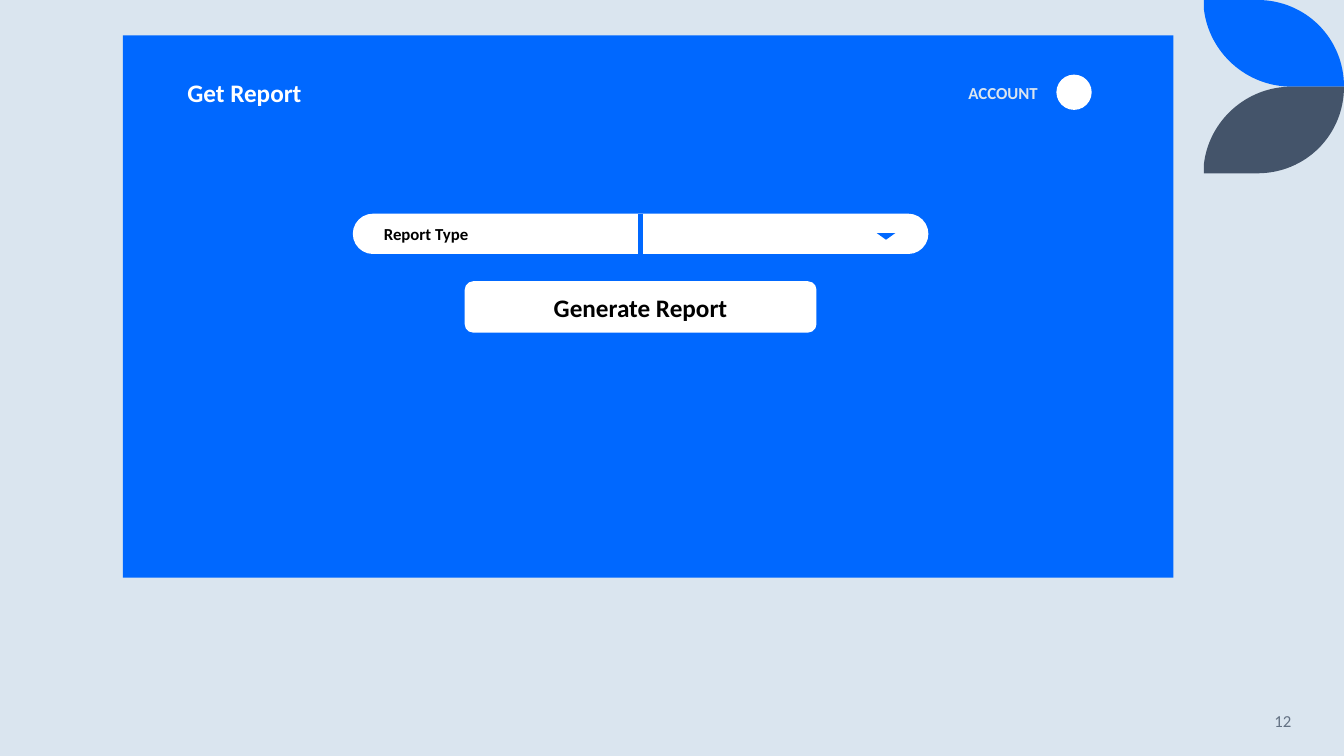
"""Build the Get Report screen slide."""
from dataclasses import dataclass

from lxml import etree
from pptx import Presentation
from pptx.dml.color import RGBColor
from pptx.enum.shapes import MSO_CONNECTOR, MSO_SHAPE
from pptx.enum.text import MSO_ANCHOR, PP_ALIGN
from pptx.oxml.ns import qn
from pptx.util import Inches, Pt

RECTANGLE = MSO_SHAPE.RECTANGLE
ELLIPSE = MSO_SHAPE.OVAL
ROUNDED = MSO_SHAPE.ROUNDED_RECTANGLE
TRIANGLE = MSO_SHAPE.ISOSCELES_TRIANGLE
STRAIGHT = MSO_CONNECTOR.STRAIGHT
LEFT, CENTER, RIGHT = PP_ALIGN.LEFT, PP_ALIGN.CENTER, PP_ALIGN.RIGHT
TOP, MIDDLE = MSO_ANCHOR.TOP, MSO_ANCHOR.MIDDLE


@dataclass(frozen=True)
class Theme:
    font: str = "Calibri"
    background: str = "DAE5EF"
    accent: str = "0068FF"
    slate: str = "44546A"
    white: str = "FFFFFF"
    black: str = "000000"
    muted: str = "637183"
    body_size: int = 12
    heading_size: int = 18


@dataclass(frozen=True)
class Box:
    left: float
    top: float
    width: float
    height: float

    def lengths(self):
        return [Inches(value) for value in (self.left, self.top, self.width, self.height)]


@dataclass(frozen=True)
class Panel:
    kind: int
    box: Box
    color: str
    corner: float | None = None


@dataclass(frozen=True)
class Label:
    text: str
    box: Box
    color: str
    size: int
    bold: bool = True
    align: int = LEFT
    anchor: int = TOP


@dataclass(frozen=True)
class Segment:
    end: tuple[float, float]
    controls: tuple[tuple[float, float], ...] = ()


THEME = Theme()
SLIDE_WIDTH, SLIDE_HEIGHT = 13.333, 7.5
LEAF_WIDTH, LEAF_HEIGHT = 1.39, 0.86
LEAF_COLORS = (THEME.accent, THEME.slate)
LEAF_SEGMENTS = (
    Segment((0.53, 0)),
    Segment((LEAF_WIDTH, LEAF_HEIGHT), ((1.01, 0), (LEAF_WIDTH, 0.38))),
    Segment((0.87, LEAF_HEIGHT)),
    Segment((0, 0.09), ((0.42, LEAF_HEIGHT), (0.05, 0.52))),
)

FIELD = Box(3.5, 2.12, 5.71, 0.4)
BUTTON = Box(4.61, 2.79, 3.49, 0.51)
ARROW = Box(8.72, 2.32, 0.14, 0.05)
PANELS = (
    Panel(RECTANGLE, Box(1.22, 0.35, 10.42, 5.38), THEME.accent),
    Panel(ELLIPSE, Box(10.48, 0.74, 0.35, 0.35), THEME.white),
    Panel(ROUNDED, FIELD, THEME.white, 0.5),
)
LABELS = (
    Label("ACCOUNT", Box(9.51, 0.77, 1.7, 0.3), THEME.background, THEME.body_size),
    Label("Get Report", Box(1.76, 0.72, 2.38, 0.4), THEME.white, THEME.heading_size),
    Label("Report Type", Box(3.71, 2.17, 1.67, 0.3), THEME.black, THEME.body_size),
    Label("12", Box(11.1, 6.95, 1.81, 0.4), THEME.muted, THEME.body_size,
          bold=False, align=RIGHT, anchor=MIDDLE),
)


def paint(shape, color: str) -> None:
    """Give a shape a flat fill with no outline or shadow."""
    shape.shadow.inherit = False
    shape.fill.solid()
    shape.fill.fore_color.rgb = RGBColor.from_string(color)
    shape.line.fill.background()


def add_panel(slide, panel: Panel):
    """Draw a filled preset shape."""
    shape = slide.shapes.add_shape(panel.kind, *panel.box.lengths())
    paint(shape, panel.color)
    if panel.corner is not None:
        shape.adjustments[0] = panel.corner
    return shape


def write_text(shape, text: str, *, color: str, size: int, bold: bool = True,
               align: int = LEFT, anchor: int = TOP) -> None:
    """Write one wrapped paragraph into a shape."""
    frame = shape.text_frame
    frame.word_wrap = True
    frame.vertical_anchor = anchor
    paragraph = frame.paragraphs[0]
    paragraph.alignment = align
    run = paragraph.add_run()
    run.text = text
    run.font.name = THEME.font
    run.font.size = Pt(size)
    run.font.bold = bold
    run.font.color.rgb = RGBColor.from_string(color)


def add_leaf(slide, row: int, color: str) -> None:
    """Draw a corner leaf, mirrored vertically on odd rows."""
    left, top = Inches(SLIDE_WIDTH - LEAF_WIDTH), Inches(row * LEAF_HEIGHT)

    def place(point: tuple[float, float]) -> tuple[int, int]:
        """Turn a leaf point into lengths from the leaf's top left."""
        x, y = point
        return Inches(x), Inches(LEAF_HEIGHT - y if row % 2 else y)

    builder = slide.shapes.build_freeform(*place((0, 0)))
    builder.add_line_segments([place(segment.end) for segment in LEAF_SEGMENTS])
    leaf = builder.convert_to_shape(left, top)
    paint(leaf, color)
    lines = list(leaf.element.iter(qn("a:lnTo")))
    for line, segment in zip(lines, LEAF_SEGMENTS):
        if segment.controls:
            line.tag = qn("a:cubicBezTo")
            for index, control in enumerate(segment.controls):
                x, y = place(control)
                point = line.makeelement(qn("a:pt"), {"x": str(x), "y": str(y)})
                line.insert(index, point)
    etree.SubElement(lines[-1].getparent(), qn("a:close"))


def add_divider(slide, field: Box) -> None:
    """Split a field in two with a vertical line."""
    middle = Inches(field.left + field.width / 2)
    divider = slide.shapes.add_connector(
        STRAIGHT, middle, Inches(field.top), middle, Inches(field.top + field.height))
    divider.line.color.rgb = RGBColor.from_string(THEME.accent)
    divider.line.width = Pt(3)
    etree.SubElement(divider.element.find(qn("p:spPr")), qn("a:effectLst"))


def add_button(slide) -> None:
    """Draw the button that starts the report."""
    button = add_panel(slide, Panel(ROUNDED, BUTTON, THEME.white))
    write_text(button, "Generate Report", color=THEME.black, size=THEME.heading_size,
               align=CENTER, anchor=MIDDLE)


def add_dropdown_arrow(slide) -> None:
    """Draw the downward arrow of the report type list."""
    arrow = add_panel(slide, Panel(TRIANGLE, ARROW, THEME.accent))
    arrow.element.spPr.find(qn("a:xfrm")).set("flipV", "1")
    arrow.line.color.rgb = RGBColor.from_string(THEME.accent)
    arrow.line.width = Pt(1)
    outline = arrow.element.spPr.find(qn("a:ln"))
    etree.SubElement(outline, qn("a:miter"), {"lim": "800000"})


def main() -> None:
    """Build and save the slide."""
    presentation = Presentation()
    presentation.slide_width = Inches(SLIDE_WIDTH)
    presentation.slide_height = Inches(SLIDE_HEIGHT)
    slide = presentation.slides.add_slide(presentation.slide_layouts[6])
    slide.background.fill.solid()
    slide.background.fill.fore_color.rgb = RGBColor.from_string(THEME.background)
    for row, color in enumerate(LEAF_COLORS):
        add_leaf(slide, row, color)
    for panel in PANELS:
        add_panel(slide, panel)
    add_divider(slide, FIELD)
    add_button(slide)
    add_dropdown_arrow(slide)
    for label in LABELS:
        text_box = slide.shapes.add_textbox(*label.box.lengths())
        write_text(text_box, label.text, color=label.color, size=label.size,
                   bold=label.bold, align=label.align, anchor=label.anchor)
    presentation.save("out.pptx")


main()
